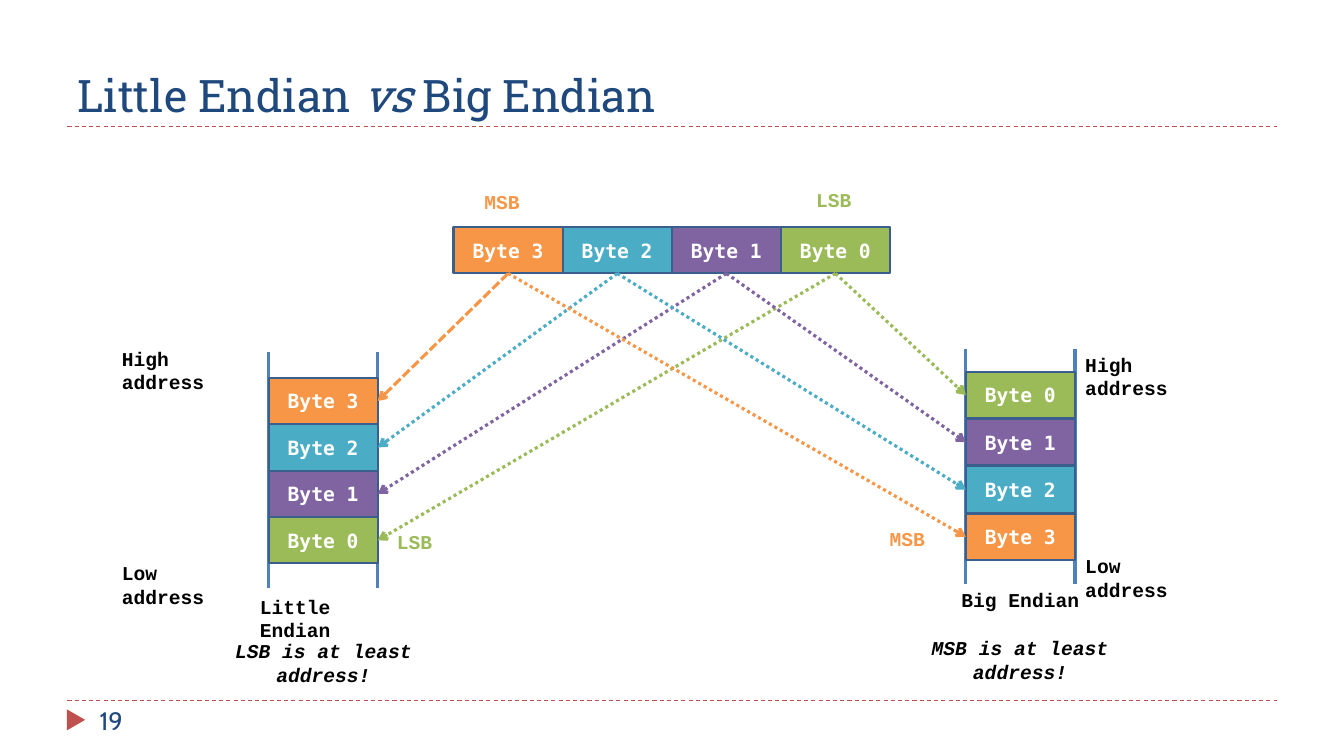
from dataclasses import dataclass
from typing import Any

from lxml import etree
from pptx import Presentation
from pptx.dml.color import RGBColor
from pptx.enum.dml import MSO_LINE
from pptx.enum.shapes import MSO_CONNECTOR, MSO_SHAPE
from pptx.enum.text import MSO_ANCHOR, MSO_AUTO_SIZE, PP_ALIGN
from pptx.oxml.ns import qn
from pptx.util import Cm, Pt

STRAIGHT = MSO_CONNECTOR.STRAIGHT
RECTANGLE, TRIANGLE = MSO_SHAPE.RECTANGLE, MSO_SHAPE.ISOSCELES_TRIANGLE
DASH, SHORT_DASH, DOT = MSO_LINE.DASH, MSO_LINE.SQUARE_DOT, MSO_LINE.ROUND_DOT
TOP, MIDDLE, BOTTOM = MSO_ANCHOR.TOP, MSO_ANCHOR.MIDDLE, MSO_ANCHOR.BOTTOM
LEFT, CENTER = PP_ALIGN.LEFT, PP_ALIGN.CENTER
FIT_SHAPE, FIXED = MSO_AUTO_SIZE.SHAPE_TO_FIT_TEXT, MSO_AUTO_SIZE.NONE
LEFT_SITE, BOTTOM_SITE, RIGHT_SITE = 1, 2, 3


@dataclass(frozen=True)
class Theme:
    heading: str = "1F497D"
    accent: str = "C0504D"
    rail: str = "4F81BD"
    outline: str = "3A5F8C"
    white: str = "FFFFFF"
    black: str = "000000"
    most_significant: str = "F79646"
    second: str = "4BACC6"
    third: str = "8064A2"
    least_significant: str = "9BBB59"
    title_size: float = 32
    number_size: float = 18
    body_size: float = 14
    title_font: str = "Roboto Slab"
    number_font: str = "Cabin"
    byte_font: str = "DejaVu Sans Mono"
    label_font: str = "Courier New"


THEME = Theme()
BYTE_COLORS = {
    "Byte 3": THEME.most_significant,
    "Byte 2": THEME.second,
    "Byte 1": THEME.third,
    "Byte 0": THEME.least_significant,
}
BYTE_WIDTH, BYTE_HEIGHT = 2.75, 1.17


@dataclass(frozen=True)
class Label:
    text: str
    left: float
    top: float
    width: float
    color: str = THEME.black
    align: Any = LEFT
    italic: bool = False


@dataclass(frozen=True)
class Memory:
    left: float
    top: float
    pitch: float
    rail_top: float
    rail_bottom: float
    order: tuple[str, ...]
    site: int


WORD = tuple(BYTE_COLORS)
LITTLE = Memory(6.77, 9.52, 1.17, 8.86, 14.81, WORD, RIGHT_SITE)
BIG = Memory(24.34, 9.37, 1.19, 8.79, 14.71, WORD[::-1], LEFT_SITE)

LABELS = (
    Label("MSB", 11.96, 4.65, 1.68, THEME.most_significant),
    Label("LSB", 20.32, 4.62, 1.47, THEME.least_significant),
    Label("LSB", 9.75, 13.23, 1.47, THEME.least_significant),
    Label("MSB", 22.17, 13.16, 1.68, THEME.most_significant),
    Label("High address", 2.82, 8.61, 3.12),
    Label("Low address", 2.82, 14.02, 3.05),
    Label("High address", 27.1, 8.76, 3.12),
    Label("Low address", 27.1, 13.84, 3.05),
    Label("Little Endian", 6.3, 14.86, 3.73),
    Label("Big Endian", 23.85, 14.68, 3.73, align=CENTER),
    Label("LSB is at least address!", 5.13, 15.98, 6.05, align=CENTER, italic=True),
    Label("MSB is at least address!", 22.56, 15.9, 6.3, align=CENTER, italic=True),
)


def apply(target: Any, values: dict[str, Any]) -> None:
    for name, value in values.items():
        setattr(target, name, value)


def write(shape: Any, runs: list[tuple[str, bool]], frame_values: dict[str, Any],
          align: Any, color: str, font_values: dict[str, Any]) -> None:
    frame = shape.text_frame
    apply(frame, {"word_wrap": True} | frame_values)
    paragraph = frame.paragraphs[0]
    paragraph.alignment = align
    for text, italic in runs:
        run = paragraph.add_run()
        run.text = text
        apply(run.font, font_values | {"italic": italic})
        run.font.color.rgb = RGBColor.from_string(color)


def add_text(slide: Any, box: tuple[float, ...], runs: list[tuple[str, bool]],
             frame_values: dict[str, Any], align: Any, color: str,
             font_values: dict[str, Any]) -> None:
    shape = slide.shapes.add_textbox(*map(Cm, box))
    write(shape, runs, frame_values, align, color, font_values)


def add_line(slide: Any, ends: tuple[float, ...], color: str, width: float,
             dash: Any = None) -> Any:
    line = slide.shapes.add_connector(STRAIGHT, *map(Cm, ends))
    apply(line.line, {"width": Pt(width), "dash_style": dash})
    line.line.color.rgb = RGBColor.from_string(color)
    etree.SubElement(line._element.spPr, qn("a:effectLst"))
    return line


def add_byte(slide: Any, name: str, left: float, top: float) -> Any:
    shape = slide.shapes.add_shape(
        RECTANGLE, Cm(left), Cm(top), Cm(BYTE_WIDTH), Cm(BYTE_HEIGHT))
    shape.shadow.inherit = False
    shape.fill.solid()
    shape.fill.fore_color.rgb = RGBColor.from_string(BYTE_COLORS[name])
    shape.line.color.rgb = RGBColor.from_string(THEME.outline)
    shape.line.width = Pt(1.5)
    write(shape, [(name, False)], {"vertical_anchor": MIDDLE}, CENTER, THEME.white,
          {"name": THEME.byte_font, "size": Pt(THEME.body_size), "bold": True})
    return shape


def add_memory(slide: Any, memory: Memory) -> dict[str, Any]:
    for left in (memory.left, memory.left + BYTE_WIDTH):
        add_line(slide, (left, memory.rail_top, left, memory.rail_bottom),
                 THEME.rail, 2.25)
    return {name: add_byte(slide, name, memory.left, memory.top + row * memory.pitch)
            for row, name in enumerate(memory.order)}


def add_arrow(slide: Any, source: Any, target: Any, site: int, color: str,
              dash: Any) -> None:
    arrow = add_line(slide, (0, 0, 1, 1), color, 2.25, dash)
    arrow.begin_connect(source, BOTTOM_SITE)
    arrow.end_connect(target, site)
    etree.SubElement(arrow.line._get_or_add_ln(), qn("a:tailEnd"), type="arrow")


def add_frame(slide: Any) -> None:
    for top in (17.65, 3.18):
        add_line(slide, (1.7, top, 32.18, top), THEME.accent, 0.75, DASH)
    marker = slide.shapes.add_shape(TRIANGLE, Cm(1.65), Cm(17.91), Cm(0.53), Cm(0.46))
    marker.rotation = 90
    marker.shadow.inherit = False
    marker.fill.solid()
    marker.fill.fore_color.rgb = RGBColor.from_string(THEME.accent)
    marker.line.fill.background()
    add_text(slide, (1.7, 0.43, 30.48, 2.75),
             [("Little Endian ", False), ("vs", True), (" Big Endian", False)],
             {"vertical_anchor": BOTTOM, "auto_size": FIXED}, LEFT, THEME.heading,
             {"name": THEME.title_font, "size": Pt(THEME.title_size)})
    add_text(slide, (2.26, 17.65, 7.34, 1.02), [("19", False)],
             {"vertical_anchor": TOP, "auto_size": FIXED}, LEFT, THEME.heading,
             {"name": THEME.number_font, "size": Pt(THEME.number_size)})


def main() -> None:
    presentation = Presentation()
    apply(presentation, {"slide_width": Cm(33.87), "slide_height": Cm(19.05)})
    slide = presentation.slides.add_slide(presentation.slide_layouts[6])
    add_frame(slide)
    word = {name: add_byte(slide, name, 11.43 + column * BYTE_WIDTH, 5.72)
            for column, name in enumerate(WORD)}
    for memory in (LITTLE, BIG):
        cells = add_memory(slide, memory)
        for name, color in BYTE_COLORS.items():
            dash = SHORT_DASH if memory is LITTLE and name == "Byte 3" else DOT
            add_arrow(slide, word[name], cells[name], memory.site, color, dash)
    for label in LABELS:
        add_text(slide, (label.left, label.top, label.width, 1.02),
                 [(label.text, label.italic)],
                 {"vertical_anchor": TOP, "auto_size": FIT_SHAPE}, label.align, label.color,
                 {"name": THEME.label_font, "size": Pt(THEME.body_size), "bold": True})
    presentation.save("out.pptx")


if __name__ == "__main__":
    main()
